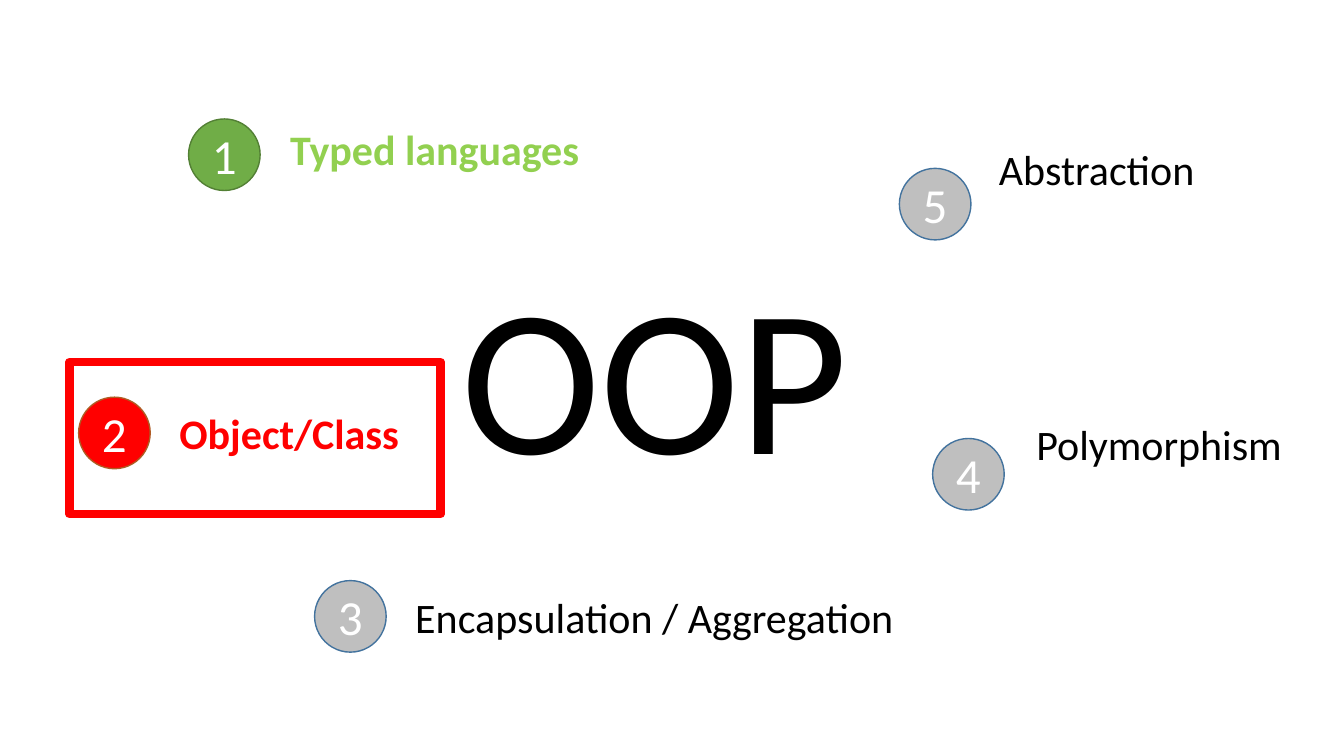
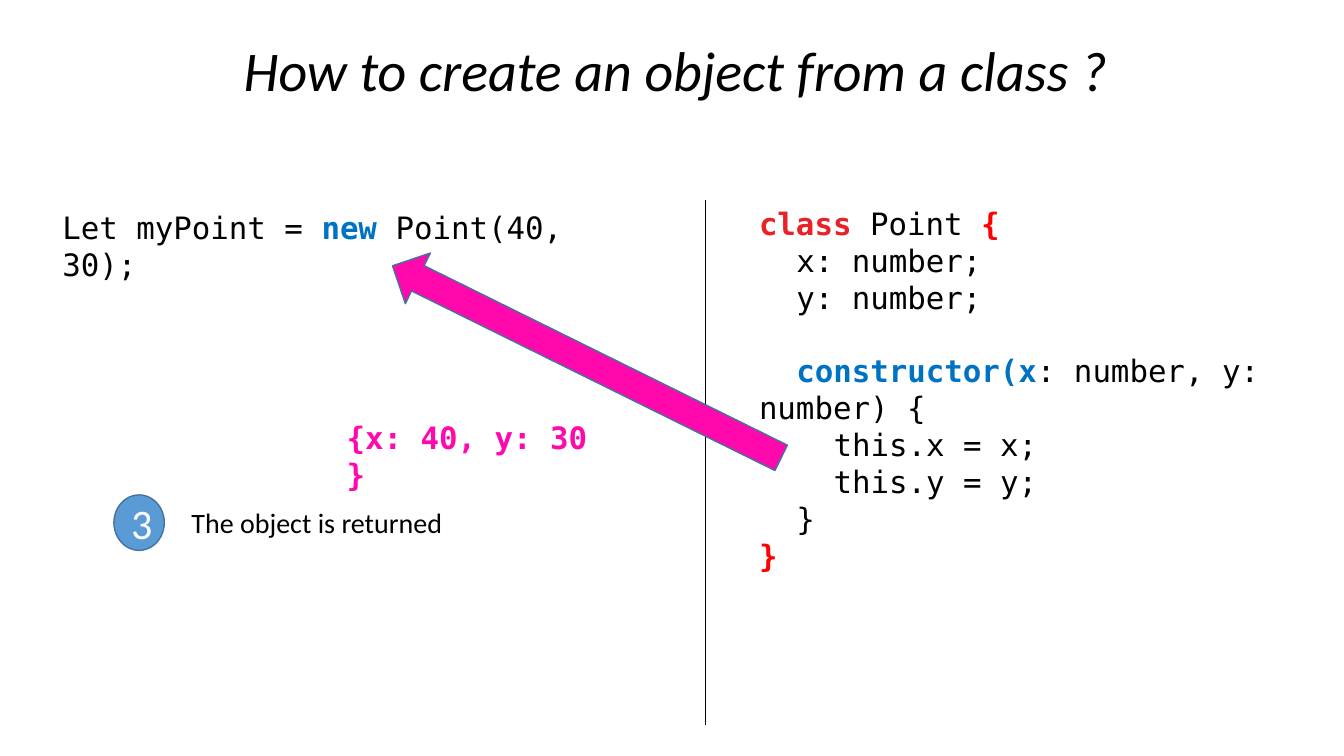
from dataclasses import dataclass
from lxml.etree import SubElement
from pptx import Presentation
from pptx.dml.color import RGBColor
from pptx.enum.shapes import MSO_CONNECTOR, MSO_SHAPE
from pptx.enum.text import MSO_ANCHOR, PP_ALIGN
from pptx.oxml.ns import qn
from pptx.util import Inches, Pt


@dataclass(frozen=True)
class Theme:
    """Colours, fonts and type sizes of the deck."""
    sans: str = "Calibri"
    mono: str = "DejaVu Sans Mono"
    black: str = "000000"
    white: str = "FFFFFF"
    red: str = "FF0000"
    crimson: str = "EA2227"
    rust: str = "AF5C24"
    green: str = "70AD47"
    forest: str = "538035"
    lime: str = "92D050"
    grey: str = "BFBFBF"
    blue: str = "5B9BD5"
    navy: str = "43739E"
    key: str = "0072C3"
    pink: str = "FF09AD"
    hero: int = 150
    title: int = 40
    digit: int = 35
    label: int = 30
    code: int = 22
    note: int = 20


T = Theme()


def rgb(code):
    """Turn a hex code into a colour."""
    return RGBColor.from_string(code)


def style(para, size, color=T.black, font=T.sans, bold=False, italic=False):
    """Set the font of a whole paragraph."""
    face = para.font
    face.name, face.size = font, Pt(size)
    face.bold, face.italic = bold, italic
    face.color.rgb = rgb(color)


def frame(slide, box, wrap=False):
    """Add a text box and return its text frame."""
    text = slide.shapes.add_textbox(*map(Inches, box)).text_frame
    text.word_wrap = wrap
    return text


def label(slide, box, words, size, align=PP_ALIGN.LEFT, **look):
    """Add a one-line text box."""
    para = frame(slide, box).paragraphs[0]
    para.text, para.alignment = words, align
    style(para, size, **look)


def shape(slide, kind, box, fill, line, width=1):
    """Add a flat preset shape; without a fill it stays hollow."""
    item = slide.shapes.add_shape(kind, *map(Inches, box))
    item.shadow.inherit = False
    if fill:
        item.fill.solid()
        item.fill.fore_color.rgb = rgb(fill)
    else:
        item.fill.background()
    item.line.color.rgb = rgb(line)
    item.line.width = Pt(width)
    return item


def badge(slide, box, digit, fill, line, size):
    """Add a numbered circle."""
    text = shape(slide, MSO_SHAPE.OVAL, box, fill, line).text_frame
    text.vertical_anchor = MSO_ANCHOR.MIDDLE
    para = text.paragraphs[0]
    para.text, para.alignment = digit, PP_ALIGN.CENTER
    style(para, size, T.white)


def topic(slide, box, digit, words, shift, width,
          fill=T.grey, line=T.navy, **look):
    """Add a numbered circle with its label at a shift from it."""
    left, top = box[:2]
    badge(slide, box, digit, fill, line, T.digit)
    place = (left + shift[0], top + shift[1], width, 0.61)
    label(slide, place, words, T.label, **look)


def code(slide, box, lines):
    """Add code: each line is its indent, space before and coloured runs."""
    text = frame(slide, box, True)
    for num, (depth, gap, runs) in enumerate(lines):
        para = text.add_paragraph() if num else text.paragraphs[0]
        style(para, T.code, font=T.mono)
        para.space_before = Pt(gap)
        props = para.font._element.getparent()
        props.set("marL", "0")
        props.set("indent", str(Inches(0.37 * depth)))
        for words, color in runs:
            run = para.add_run()
            run.text = words
            if color:
                run.font.bold = True
                run.font.color.rgb = rgb(color)


def divide(slide, x, top, bottom):
    """Add a thin vertical rule."""
    rule = slide.shapes.add_connector(
        MSO_CONNECTOR.STRAIGHT, *map(Inches, (x, top, x, bottom)))
    rule.line.color.rgb = rgb(T.black)
    rule.line.width = Pt(0.5)
    SubElement(rule._element.spPr, qn("a:effectLst"))


def overview(slide):
    """Build the map of the five topics."""
    label(slide, (4.48, 2.38, 4.08, 2.63), "OOP", T.hero)
    side = 0.71
    topic(slide, (1.87, 1.18, side, side), "1", "Typed languages",
          (0.91, 0), 3.1, T.green, T.forest, color=T.lime, bold=True)
    topic(slide, (0.78, 3.94, side, side), "2", "Object/Class",
          (0.9, 0.05), 2.4, T.red, T.rust, color=T.red, bold=True)
    for x, y, digit, words, shift, width in (
            (3.12, 5.76, "3", "Encapsulation / Aggregation", (0.9, 0.06), 5),
            (9.25, 4.35, "4", "Polymorphism", (0.93, -0.25), 2.75),
            (8.92, 1.67, "5", "Abstraction", (0.89, -0.3), 2.16)):
        topic(slide, (x, y, side, side), digit, words, shift, width)
    shape(slide, MSO_SHAPE.RECTANGLE, (0.69, 3.59, 3.68, 1.51),
          None, T.red, 6)


def create(slide):
    """Build the slide on making an object from a class."""
    label(slide, (2.27, 0.3, 8.86, 0.77),
          "How to create an object from a class ?", T.title,
          PP_ALIGN.CENTER, italic=True)
    code(slide, (7.43, 1.98, 5.9, 3.8), (
        (0, 0, (("class ", T.crimson), ("Point ", None), ("{", T.red))),
        (1, 0, (("x: number;", None),)),
        (1, 0, (("y: number;", None),)),
        (1, 26, (("constructor(x", T.key), (": number, y: number) {", None))),
        (2, 0, (("this.x = x;", None),)),
        (2, 0, (("this.y = y;", None),)),
        (1, 0, (("}", None),)),
        (0, 0, (("}", T.red),))))
    divide(slide, 7, 1.98, 7.19)
    code(slide, (0.52, 2.02, 5.64, 0.84), (
        (0, 0, (("Let myPoint = ", None), ("new", T.key),
                (" Point(40, 30);", None))),))
    badge(slide, (1.13, 4.91, 0.5, 0.55), "3", T.blue, T.navy, T.label)
    label(slide, (1.8, 4.97, 2.71, 0.44), "The object is returned", T.note)
    arrow = shape(slide, MSO_SHAPE.DOWN_ARROW, (5.54, 1.44, 0.56, 4.3),
                  T.pink, T.navy)
    arrow.rotation = 116.3
    code(slide, (3.34, 4.11, 2.75, 0.84),
         ((0, 0, (("{x: 40, y: 30 }", T.pink),)),))


def main():
    """Build and save the deck."""
    deck = Presentation()
    deck.slide_width, deck.slide_height = Inches(13.33), Inches(7.5)
    for build in (overview, create):
        build(deck.slides.add_slide(deck.slide_layouts[6]))
    deck.save("out.pptx")


if __name__ == "__main__":
    main()
